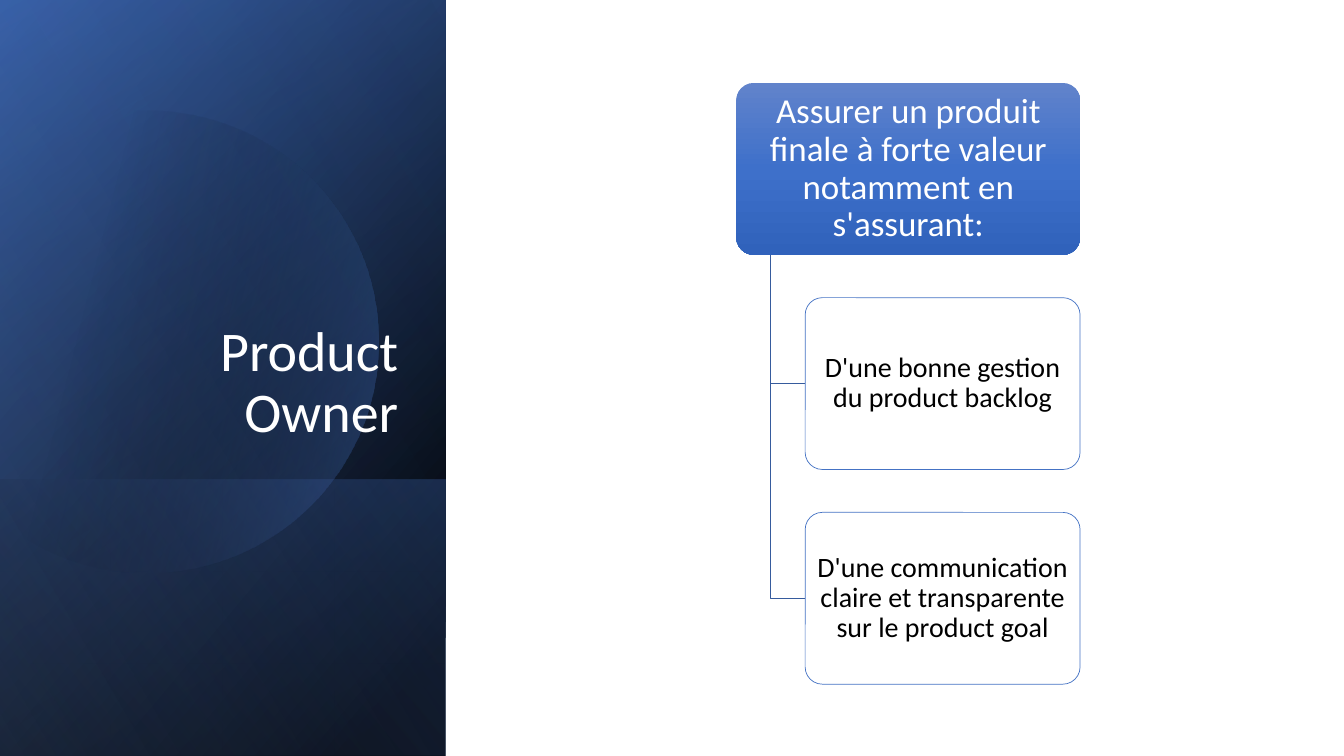
import math

import lxml.etree
import pptx
import pptx.dml.color
import pptx.enum.shapes
import pptx.enum.text
import pptx.oxml.ns
import pptx.util

Cm = pptx.util.Cm
Pt = pptx.util.Pt
qn = pptx.oxml.ns.qn
SHAPES = pptx.enum.shapes.MSO_SHAPE
ALIGN = pptx.enum.text.PP_ALIGN
ANCHOR = pptx.enum.text.MSO_ANCHOR

SLIDE_WIDTH, SLIDE_HEIGHT = 33.87, 19.05
PANEL_WIDTH = 11.23
BAND_TOP = 12.09
GOAL = "Assurer un produit finale à forte valeur notamment en s'assurant:"
MEANS = [
    "D'une bonne gestion du product backlog",
    "D'une communication claire et transparente sur le product goal",
]


def colour(hex_code):
    return pptx.dml.color.RGBColor.from_string(hex_code)


def set_opacity(colour_element, percent):
    alpha = lxml.etree.SubElement(colour_element, qn("a:alpha"))
    alpha.set("val", str(percent * 1000))


def fill_gradient(shape, angle, stops):
    shape.shadow.inherit = False
    shape.line.fill.background()
    shape.fill.gradient()
    shape.fill.gradient_angle = 360 - angle
    stop_list = shape.element.spPr.find(qn("a:gradFill")).find(qn("a:gsLst"))
    for old_stop in list(stop_list):
        stop_list.remove(old_stop)
    for position, hex_code, opacity in stops:
        stop = lxml.etree.SubElement(stop_list, qn("a:gs"))
        stop.set("pos", str(position * 1000))
        stop_colour = lxml.etree.SubElement(stop, qn("a:srgbClr"))
        stop_colour.set("val", str(colour(hex_code)))
        if opacity < 100:
            set_opacity(stop_colour, opacity)


def write_text(shape, text, size, hex_code, frame_format, paragraph_format):
    frame = shape.text_frame
    frame.text = text
    paragraph = frame.paragraphs[0]
    font_format = {"name": "Calibri", "size": Pt(size), "bold": False}
    for target, values in (
        (frame, {"word_wrap": True, **frame_format}),
        (paragraph, {"line_spacing": 0.9, **paragraph_format}),
        (paragraph.runs[0].font, font_format),
    ):
        for attribute, value in values.items():
            setattr(target, attribute, value)
    paragraph.runs[0].font.color.rgb = colour(hex_code)


def add_turned_layer(slide, box, angle, stops):
    left, top, width, height = box
    offset = (width - height) / 2
    layer = slide.shapes.add_shape(
        SHAPES.RECTANGLE, Cm(left + offset), Cm(top - offset), Cm(height), Cm(width)
    )
    layer.rotation = 90
    layer.element.spPr.xfrm.set("flipH", "1")
    fill_gradient(layer, angle, stops)


def add_cut_circle(slide, box):
    left, top, width, height = box
    radius = 5.82
    centre_x, centre_y = left + 3.71, top + 8.61
    cut_angle = math.acos(-4.09 / radius)
    steps = 120
    angles = [cut_angle * (2 * step / steps - 1) for step in range(steps + 1)]
    points = [
        (Cm(centre_x + radius * math.cos(a)), Cm(centre_y + radius * math.sin(a)))
        for a in angles
    ]
    builder = slide.shapes.build_freeform(*points[0])
    builder.add_line_segments(points[1:], close=True)
    circle = builder.convert_to_shape()
    fill_gradient(circle, 14, [(29, "000000", 0), (100, "4472C4", 43)])


def add_title_panel(slide, box):
    left, top, width, height = box
    band = (left, top + BAND_TOP, width, height - BAND_TOP)
    add_turned_layer(slide, box, 50, [(8, "000000", 100), (100, "2F5597", 100)])
    add_turned_layer(slide, box, 30, [(0, "000000", 0), (99, "4472C4", 46)])
    add_turned_layer(slide, band, 130, [(2, "4472C4", 29), (100, "000000", 30)])
    add_cut_circle(slide, box)
    add_turned_layer(slide, box, 120, [(0, "000000", 0), (99, "8FAADC", 11)])

    title = slide.shapes.title
    title.element.getparent().append(title.element)
    position = {
        "left": Cm(left + 1.63),
        "top": Cm(top + 4.67),
        "width": Cm(8.66),
        "height": Cm(6.65),
    }
    for attribute, value in position.items():
        setattr(title, attribute, value)
    frame_format = {
        "vertical_anchor": ANCHOR.BOTTOM,
        "auto_size": pptx.enum.text.MSO_AUTO_SIZE.NONE,
    }
    write_text(title, "Product Owner", 40, "FFFFFF", frame_format, {"alignment": ALIGN.RIGHT})


def add_card(slide, box, text, size, text_colour, side_margin):
    card = slide.shapes.add_shape(SHAPES.ROUNDED_RECTANGLE, *map(Cm, box))
    card.adjustments[0] = 0.1
    card.shadow.inherit = False
    frame_format = {
        "vertical_anchor": ANCHOR.MIDDLE,
        "margin_left": Cm(side_margin),
        "margin_right": Cm(side_margin),
        "margin_top": Cm(0.08),
        "margin_bottom": Cm(0.08),
    }
    write_text(card, text, size, text_colour, frame_format, {"alignment": ALIGN.CENTER})
    return card


def add_branch(slide, start_x, start_y, end_x, end_y):
    builder = slide.shapes.build_freeform(Cm(start_x), Cm(start_y))
    corners = [(Cm(start_x), Cm(end_y)), (Cm(end_x), Cm(end_y))]
    builder.add_line_segments(corners, close=False)
    branch = builder.convert_to_shape()
    branch.shadow.inherit = False
    branch.fill.background()
    branch.line.color.rgb = colour("365B9D")
    branch.line.width = Pt(0.5)


def add_goal_tree(slide, box):
    left, top, width, height = box
    card_height = height / (1 + 1.25 * len(MEANS))
    indent = width / 10
    goal = add_card(slide, (left, top, width, card_height), GOAL, 25, "FFFFFF", 0.13)
    fill_gradient(
        goal, 90, [(0, "6183CB", 100), (50, "3E70CA", 100), (100, "3062BB", 100)]
    )
    means_left = left + 2 * indent
    for row, text in enumerate(MEANS, 1):
        means_top = top + row * 1.25 * card_height
        add_branch(
            slide, left + indent, top + card_height, means_left, means_top + card_height / 2
        )
        means_box = (means_left, means_top, width - 2 * indent, card_height)
        means = add_card(slide, means_box, text, 20, "000000", 0.1)
        means.fill.solid()
        means.fill.fore_color.rgb = colour("FFFFFF")
        set_opacity(means.element.spPr.find(qn("a:solidFill"))[0], 90)
        means.line.color.rgb = colour("4472C4")
        means.line.width = Pt(0.5)


def main():
    deck = pptx.Presentation()
    deck.slide_width, deck.slide_height = Cm(SLIDE_WIDTH), Cm(SLIDE_HEIGHT)
    slide = deck.slides.add_slide(deck.slide_layouts[0])
    subtitle = slide.placeholders[1].element
    subtitle.getparent().remove(subtitle)
    add_title_panel(slide, (0, 0, PANEL_WIDTH, SLIDE_HEIGHT))
    add_goal_tree(slide, (18.56, 2.09, 8.66, 15.15))
    deck.save("out.pptx")


if __name__ == "__main__":
    main()
